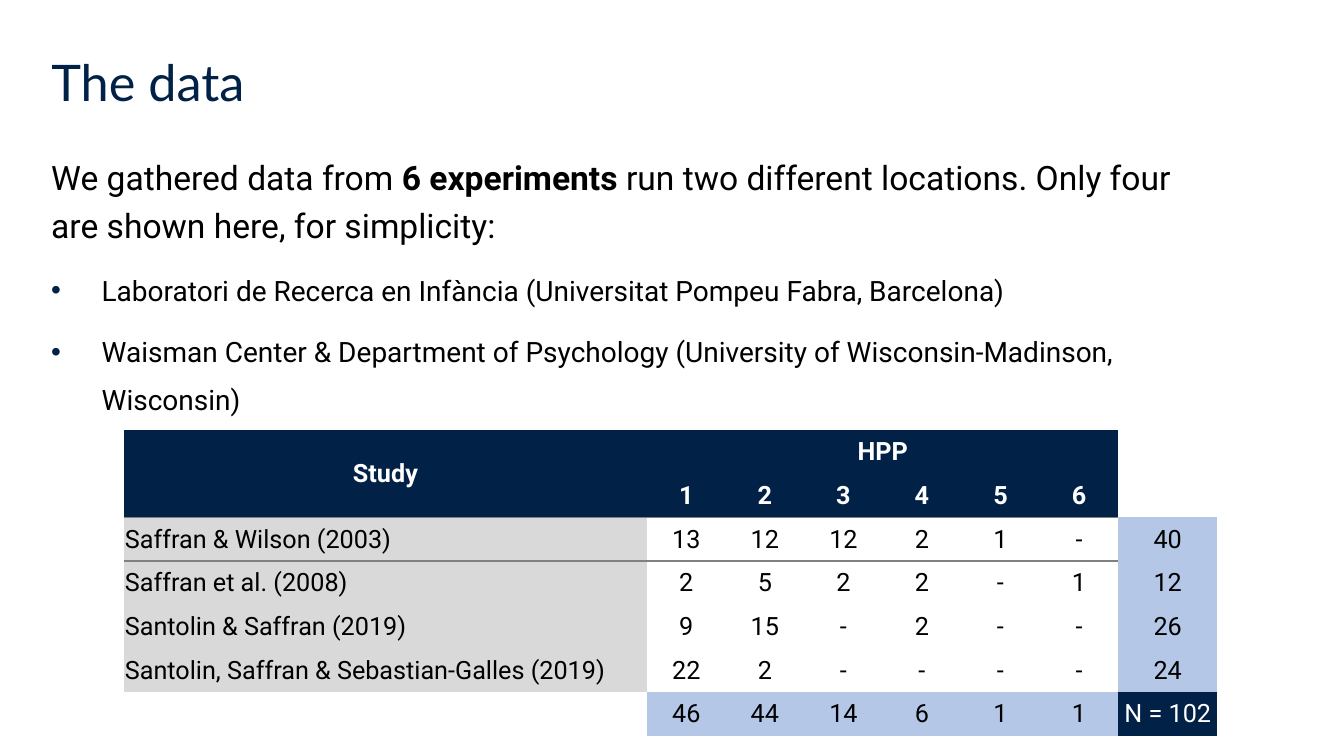
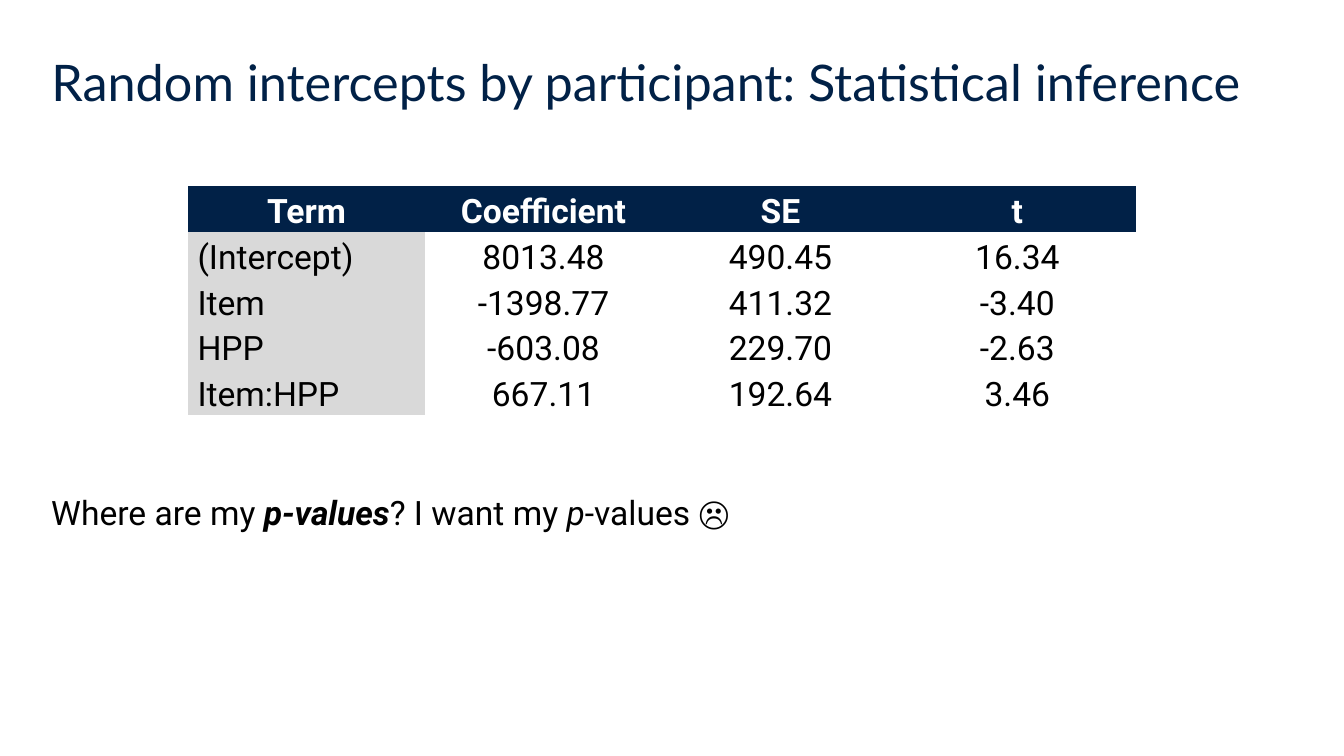
from lxml import etree
from pptx import Presentation
from pptx.dml.color import RGBColor
from pptx.enum.text import MSO_ANCHOR, MSO_AUTO_SIZE, PP_ALIGN
from pptx.oxml.ns import qn
from pptx.util import Pt

LEFT, CENTER = PP_ALIGN.LEFT, PP_ALIGN.CENTER
MIDDLE, BOTTOM = MSO_ANCHOR.MIDDLE, MSO_ANCHOR.BOTTOM
NO_FIT = MSO_AUTO_SIZE.NONE

NAVY = RGBColor(0x01, 0x21, 0x47)
BLUE = RGBColor(0xB4, 0xC7, 0xE7)
SILVER = RGBColor(0xD9, 0xD9, 0xD9)
GRAY = RGBColor(0x80, 0x80, 0x80)
WHITE = RGBColor(0xFF, 0xFF, 0xFF)
BLACK = RGBColor(0, 0, 0)

HEAD_FONT, BODY_FONT = "Lato", "Roboto"
PLAIN_GRID = "{2D5ABB26-0587-4C30-8999-92F81FD0307C}"
EDGE = 29.5
WIDE = 898.5
INSET = 0.75

TONES = {
    "H": (NAVY, WHITE, True),
    "N": (NAVY, WHITE, False),
    "S": (SILVER, BLACK, False),
    "T": (BLUE, BLACK, False),
    "W": (None, BLACK, False),
}

STUDY_ROWS = [
    ["Study", "HPP", "", "", "", "", "", ""],
    ["", "1", "2", "3", "4", "5", "6", ""],
    ["Saffran & Wilson (2003)", "13", "12", "12", "2", "1", "-", "40"],
    ["Saffran et al. (2008)", "2", "5", "2", "2", "-", "1", "12"],
    ["Santolin & Saffran (2019)", "9", "15", "-", "2", "-", "-", "26"],
    ["Santolin, Saffran & Sebastian-Galles (2019)", "22", "2", "-", "-", "-", "-", "24"],
    ["", "46", "44", "14", "6", "1", "1", "N = 102"],
]
STUDY_TONES = ["HHHHHHHW"] * 2 + ["SWWWWWWT"] * 4 + ["WTTTTTTN"]

TERM_ROWS = [
    ["Term", "Coefficient", "SE", "t"],
    ["(Intercept)", "8013.48", "490.45", "16.34"],
    ["Item", "-1398.77", "411.32", "-3.40"],
    ["HPP", "-603.08", "229.70", "-2.63"],
    ["Item:HPP", "667.11", "192.64", "3.46"],
]
TERM_TONES = ["HHHH"] + ["SWWW"] * 4


def style(font, size, color, name=BODY_FONT, bold=False, slant=False):
    """Format one font."""
    font.name, font.size, font.color.rgb = name, Pt(size), color
    font.bold, font.italic = bold, slant


def add_slide(deck, text):
    """Add a slide with its title."""
    slide = deck.slides.add_slide(deck.slide_layouts[5])
    title = slide.shapes.title
    title.left, title.top = Pt(EDGE), Pt(28.8)
    title.width, title.height = Pt(WIDE), Pt(64)
    frame = title.text_frame
    frame.text = text
    frame.auto_size, frame.vertical_anchor = NO_FIT, MIDDLE
    para = frame.paragraphs[0]
    para.alignment, para.line_spacing = LEFT, 0.9
    style(para.runs[0].font, 36, NAVY, HEAD_FONT)
    return slide


def add_bullet(para):
    """Give a paragraph a hanging navy bullet."""
    props = para._p.get_or_add_pPr()
    props.set("marL", str(Pt(36)))
    props.set("indent", str(-Pt(36)))
    tint = etree.SubElement(props, qn("a:buClr"))
    etree.SubElement(tint, qn("a:srgbClr")).set("val", str(NAVY))
    etree.SubElement(props, qn("a:buFont")).set("typeface", "Arial")
    etree.SubElement(props, qn("a:buChar")).set("char", "•")


def add_body(slide, box, paras):
    """Write paragraphs of (size, bullet, runs) in a box."""
    frame = slide.shapes.add_textbox(*map(Pt, box)).text_frame
    frame.word_wrap = True
    for i, (size, bullet, runs) in enumerate(paras):
        para = frame.add_paragraph() if i else frame.paragraphs[0]
        if bullet:
            add_bullet(para)
        para.line_spacing = Pt(34)
        para.space_before = Pt(10 if i else 0)
        for text, mark in runs:
            run = para.add_run()
            run.text = text
            style(run.font, size, BLACK, bold="b" in mark, slant="i" in mark)


def fill_cell(cell, text, tone, size, anchor, pad):
    """Write and colour one table cell."""
    fill, color, bold = TONES[tone]
    side = tone == "S"
    cell.text = text
    cell.vertical_anchor = anchor
    cell.margin_left = Pt(pad if side else INSET)
    cell.margin_right = cell.margin_top = Pt(INSET)
    cell.margin_bottom = 0
    if fill is None:
        cell.fill.background()
    else:
        cell.fill.solid()
        cell.fill.fore_color.rgb = fill
    para = cell.text_frame.paragraphs[0]
    para.alignment = LEFT if side else CENTER
    style(para.font, size, color, bold=bold)
    for run in para.runs:
        style(run.font, size, color, bold=bold)


def add_rule(cell):
    """Draw a gray line on top of a cell."""
    line = etree.Element(qn("a:lnT"), w=str(Pt(1)))
    fill = etree.SubElement(line, qn("a:solidFill"))
    etree.SubElement(fill, qn("a:srgbClr")).set("val", str(GRAY))
    cell._tc.get_or_add_tcPr().insert(0, line)


def add_grid(slide, spot, widths, height, rows, tones, size, anchor, pad=INSET):
    """Place a table whose cells follow a map of tones."""
    box = (*spot, sum(widths), height * len(rows))
    table = slide.shapes.add_table(len(rows), len(widths), *map(Pt, box)).table
    table.first_row = table.horz_banding = False
    table._tbl.tblPr.find(qn("a:tableStyleId")).text = PLAIN_GRID
    for col, width in zip(table.columns, widths):
        col.width = Pt(width)
    for r, (row, marks) in enumerate(zip(rows, tones)):
        table.rows[r].height = Pt(height)
        for c, (text, tone) in enumerate(zip(row, marks)):
            fill_cell(table.cell(r, c), text, tone, size, anchor, pad)
    return table


def data_slide(deck):
    """Build the slide on the gathered data."""
    slide = add_slide(deck, "The data")
    add_body(slide, (EDGE, 103.7, 837.5, 382), [
        (24, False, [
            ("We gathered data from ", ""),
            ("6 experiments", "b"),
            (" run two different locations. Only four are shown here, for simplicity:", ""),
        ]),
        (20, True, [("Laboratori de Recerca en Infància (Universitat Pompeu Fabra, Barcelona)", "")]),
        (20, True, [("Waisman Center & Department of Psychology "
                     "(University of Wisconsin-Madinson, Wisconsin)", "")]),
    ])
    table = add_grid(slide, (88.5, 307.2), [373.7] + [56.1] * 6 + [70.7], 31.2,
                     STUDY_ROWS, STUDY_TONES, 18, MIDDLE)
    table.cell(0, 0).merge(table.cell(1, 0))
    table.cell(0, 1).merge(table.cell(0, 6))
    for c in range(7):
        add_rule(table.cell(2, c))


def model_slide(deck):
    """Build the slide on the model terms."""
    slide = add_slide(deck, "Random intercepts by participant: Statistical inference")
    add_body(slide, (EDGE, 342.8, WIDE, 57.5), [
        (24, False, [
            ("Where are my ", ""),
            ("p-values", "bi"),
            ("? I want my ", ""),
            ("p", "i"),
            ("-values ☹", ""),
        ]),
    ])
    add_grid(slide, (134.4, 133), [169.25] * 4, 32.7,
             TERM_ROWS, TERM_TONES, 24, BOTTOM, 6.7)


def main():
    """Build and save the deck."""
    deck = Presentation()
    deck.slide_width, deck.slide_height = Pt(960), Pt(540)
    data_slide(deck)
    model_slide(deck)
    deck.save("out.pptx")


if __name__ == "__main__":
    main()
